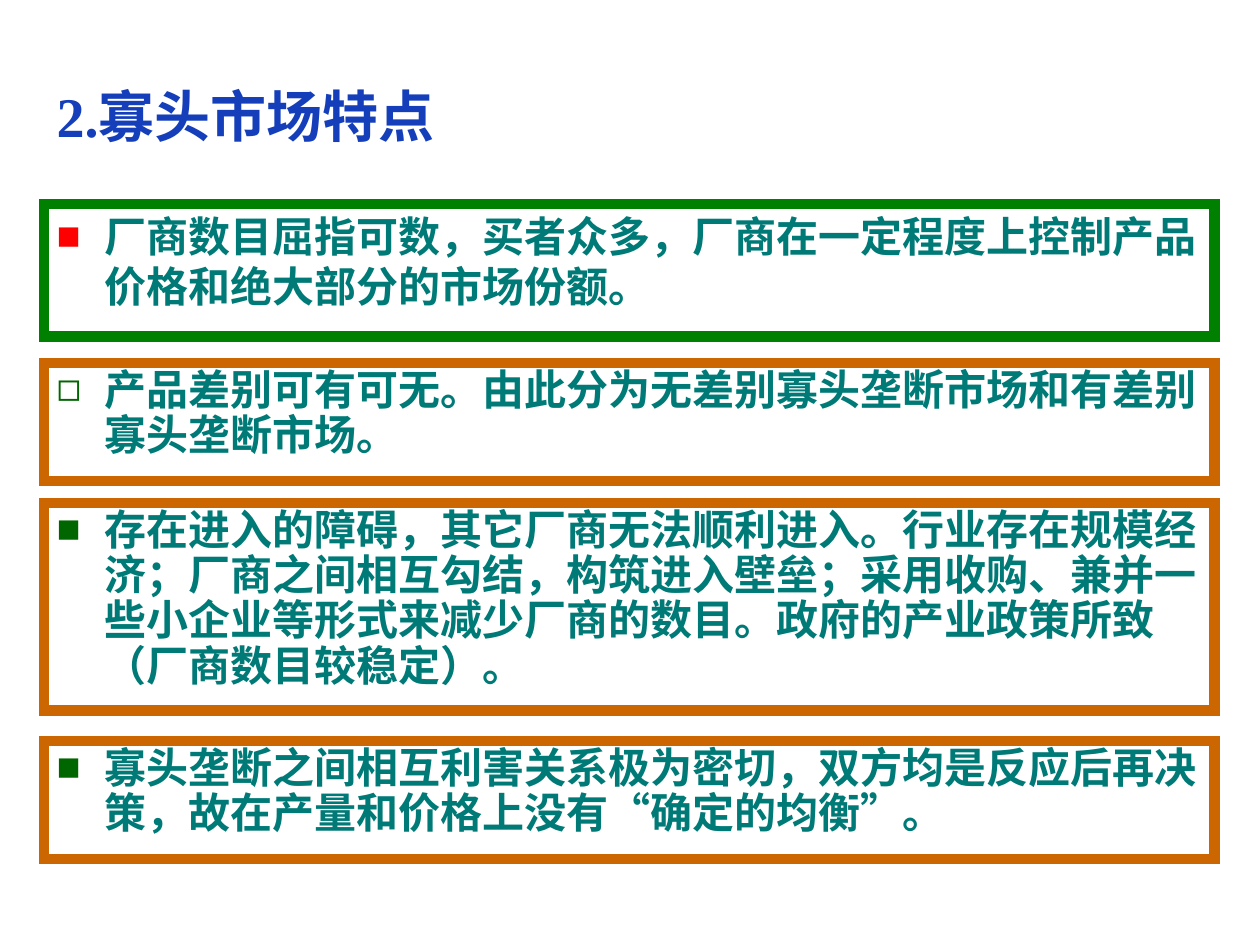
from lxml.etree import SubElement as Sub
from pptx import Presentation
from pptx.dml.color import RGBColor as RGB
from pptx.enum.shapes import MSO_SHAPE as Shape
from pptx.enum.text import MSO_ANCHOR as Anchor, PP_ALIGN as Align
from pptx.oxml.ns import qn
from pptx.util import Inches, Pt

BLUE = RGB(0x15, 0x3F, 0xBA)
TEAL = RGB(0x00, 0x7A, 0x77)
GREEN = RGB(0x00, 0x80, 0x00)
DARK = RGB(0x00, 0x66, 0x00)
RED = RGB(0xFF, 0x00, 0x00)
ORANGE = RGB(0xCC, 0x66, 0x00)
WHITE = RGB(0xFF, 0xFF, 0xFF)


def write(shape, text, size, color, font, anchor=Anchor.TOP,
          bullet=None, tint=None, indent=0.38, spacing=None):
    frame = shape.text_frame
    frame.word_wrap = True
    frame.vertical_anchor = anchor
    frame.margin_left = frame.margin_right = Inches(0.1)
    frame.margin_top = frame.margin_bottom = Inches(0.05)
    para = frame.paragraphs[0]
    para.alignment = Align.LEFT
    if bullet:
        props = para._p.get_or_add_pPr()
        props.set("marL", str(Inches(indent)))
        props.set("indent", str(-Inches(indent)))
        Sub(Sub(props, qn("a:buClr")), qn("a:srgbClr"), val=str(tint))
        Sub(props, qn("a:buSzPct"), val="95000")
        Sub(props, qn("a:buFont"), typeface=font)
        Sub(props, qn("a:buChar"), char=bullet)
    if spacing:
        para.line_spacing = spacing
    run = para.add_run()
    run.text = text
    run.font.size = Pt(size)
    run.font.name = font
    run.font.bold = True
    run.font.color.rgb = color


deck = Presentation()
deck.slide_width, deck.slide_height = Inches(10), Inches(7.5)
slide = deck.slides.add_slide(deck.slide_layouts[5])
left, wide = Inches(0.35), Inches(9.29)

title = slide.shapes.title
title.left, title.top = left, Inches(0.6)
title.width, title.height = Inches(5.98), Inches(0.63)
write(title, "2.寡头市场特点", 32, BLUE, "Times New Roman", anchor=Anchor.MIDDLE)

# top, height, frame colour, bullet, bullet colour, line spacing, text
points = [
    (1.62, 1.05, GREEN, "■", RED, None,
     "厂商数目屈指可数，买者众多，厂商在一定程度上控制产品价格和绝大部分的市场份额。"),
    (2.88, 0.94, ORANGE, "◻", DARK, 0.9,
     "产品差别可有可无。由此分为无差别寡头垄断市场和有差别寡头垄断市场。"),
    (3.99, 1.65, ORANGE, "■", DARK, 0.9,
     "存在进入的障碍，其它厂商无法顺利进入。行业存在规模经济；厂商之间相互勾结，"
     "构筑进入壁垒；采用收购、兼并一些小企业等形式来减少厂商的数目。"
     "政府的产业政策所致（厂商数目较稳定）。"),
    (5.88, 0.94, ORANGE, "■", DARK, 0.9,
     "寡头垄断之间相互利害关系极为密切，双方均是反应后再决策，"
     "故在产量和价格上没有“确定的均衡”。"),
]
for top, high, edge, bullet, tint, spacing, text in points:
    box = slide.shapes.add_shape(Shape.RECTANGLE, left, Inches(top), wide, Inches(high))
    box.shadow.inherit = False
    box.fill.solid()
    box.fill.fore_color.rgb = WHITE
    box.line.color.rgb = edge
    box.line.width = Pt(6)
    Sub(box.line._get_or_add_ln(), qn("a:miter"), lim="800000")
    write(box, text, 24, TEAL, "Arial", bullet=bullet, tint=tint, spacing=spacing)

deck.save("out.pptx")
